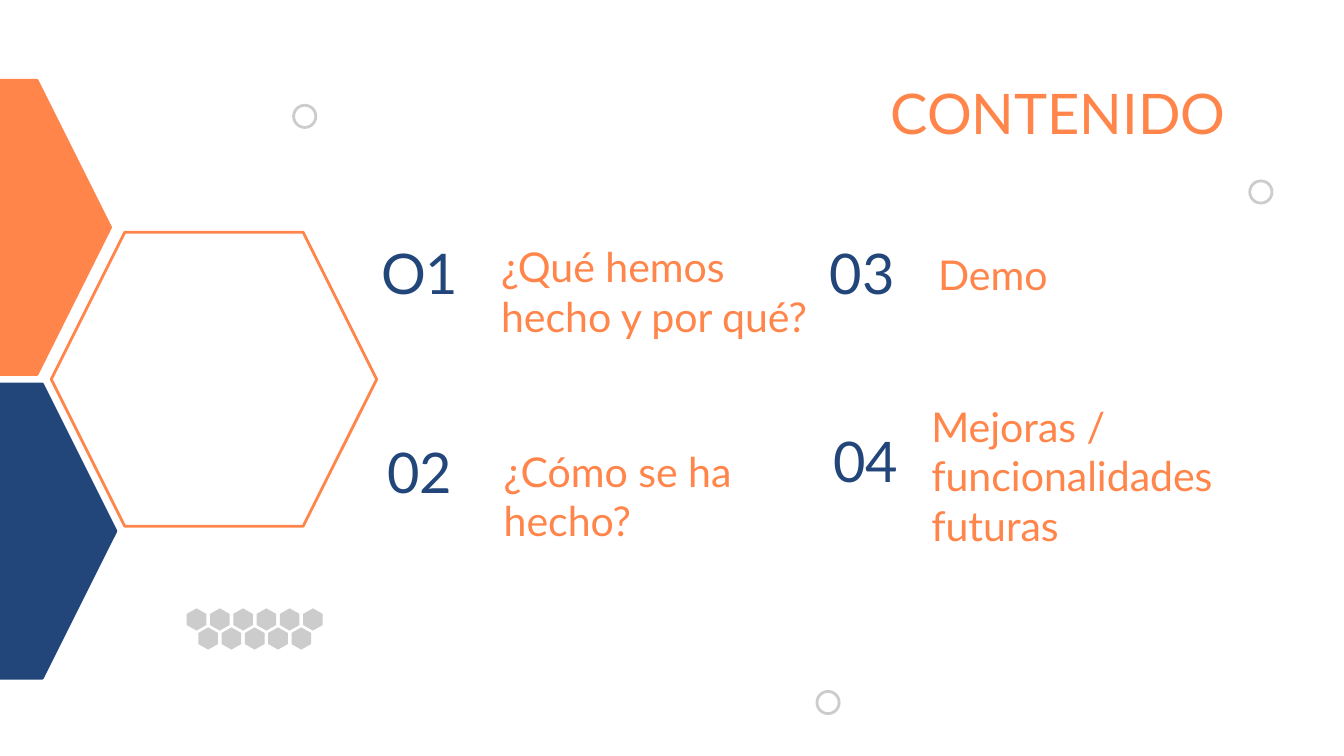
from lxml import etree
from pptx import Presentation
from pptx.dml.color import RGBColor
from pptx.enum.shapes import MSO_SHAPE
from pptx.enum.text import MSO_ANCHOR, MSO_AUTO_SIZE, PP_ALIGN
from pptx.oxml.ns import qn
from pptx.util import Cm, Pt

HEXAGON, OVAL = MSO_SHAPE.HEXAGON, MSO_SHAPE.OVAL
TOP, MIDDLE = MSO_ANCHOR.TOP, MSO_ANCHOR.MIDDLE
LEFT, CENTER, RIGHT = PP_ALIGN.LEFT, PP_ALIGN.CENTER, PP_ALIGN.RIGHT
NO_AUTOFIT = MSO_AUTO_SIZE.NONE

FONT = "Lato"
COLORS = {"orange": "FF854A", "navy": "22467A", "gray": "CCCCCC"}
COMPARISON_LAYOUT = 4

TOPICS = [
    ("¿Qué hemos hecho y por qué?", 9.22, 4.32, 6.96),
    ("Demo", 17.48, 4.47, 7.06),
    ("¿Cómo se ha hecho?", 9.27, 8.18, 6.96),
    ("Mejoras / funcionalidades futuras", 17.35, 7.34, 7.19),
]
NUMBERS = [("O1", 6.73, 4.57), ("02", 6.73, 8.33),
           ("03", 15.09, 4.57), ("04", 15.16, 8.13)]
HEXAGONS = [(-4.06, 1.52, "orange", True), (0.97, 4.39, "orange", False),
            (-3.96, 7.26, "navy", True)]
RINGS = [(15.44, 13.07), (5.55, 1.99), (23.62, 3.42)]
HONEYCOMB_ROWS = [(3.53, 11.5, 6), (3.75, 11.86, 5)]
CELL_WIDTH, CELL_HEIGHT, CELL_PITCH = 0.37, 0.42, 0.44


def color(name):
    return RGBColor.from_string(COLORS[name])


def place(shape, left, top, width, height):
    shape.left, shape.top = Cm(left), Cm(top)
    shape.width, shape.height = Cm(width), Cm(height)


def write(shape, text, size, color_name, align, anchor):
    frame = shape.text_frame
    frame.text = text
    frame.word_wrap = True
    frame.auto_size = NO_AUTOFIT
    frame.vertical_anchor = anchor
    frame.margin_left = frame.margin_right = Cm(0.25)
    frame.margin_top = frame.margin_bottom = Cm(0.25)
    paragraph = frame.paragraphs[0]
    paragraph.alignment = align
    paragraph.space_before = Pt(0)
    font = paragraph.runs[0].font
    font.name, font.size, font.bold = FONT, Pt(size), False
    font.color.rgb = color(color_name)
    return paragraph


def add_title(slide):
    title = slide.shapes.title
    place(title, 1.98, 1.24, 21.44, 1.6)
    write(title, "CONTENIDO", 30, "orange", RIGHT, TOP)


def add_topic(placeholder, text, left, top, width):
    place(placeholder, left, top, width, 1.27)
    paragraph = write(placeholder, text, 22, "orange", LEFT, TOP)
    paragraph.space_after = Pt(12)
    properties = paragraph._p.get_or_add_pPr()
    properties.set("marL", "0")
    properties.set("indent", "0")
    etree.SubElement(properties, qn("a:buNone"))


def add_number(slide, text, left, top):
    number = slide.shapes.add_textbox(Cm(left), Cm(top), Cm(2.41), Cm(1.14))
    write(number, text, 30, "navy", CENTER, MIDDLE)


def add_outlined(slide, preset, left, top, width, height, color_name, filled=False):
    shape = slide.shapes.add_shape(preset, Cm(left), Cm(top), Cm(width), Cm(height))
    shape.shadow.inherit = False
    if filled:
        shape.fill.solid()
        shape.fill.fore_color.rgb = color(color_name)
    else:
        shape.fill.background()
    shape.line.color.rgb = color(color_name)
    shape.line.width = Pt(1.5)


def add_cell(group, left, top):
    middle, right = left + CELL_WIDTH / 2, left + CELL_WIDTH
    upper, lower = top + CELL_HEIGHT / 4, top + CELL_HEIGHT * 3 / 4
    corners = [(middle, top), (left, upper), (left, lower),
               (middle, top + CELL_HEIGHT), (right, lower), (right, upper)]
    points = [(Cm(x), Cm(y)) for x, y in corners]
    builder = group.shapes.build_freeform(*points[0])
    builder.add_line_segments(points[1:], close=True)
    cell = builder.convert_to_shape()
    cell.shadow.inherit = False
    cell.fill.solid()
    cell.fill.fore_color.rgb = color("gray")
    cell.line.fill.background()


def add_honeycomb(slide):
    group = slide.shapes.add_group_shape()
    for left, top, count in HONEYCOMB_ROWS:
        for column in range(count):
            add_cell(group, left + column * CELL_PITCH, top)


def main():
    presentation = Presentation()
    presentation.slide_width, presentation.slide_height = Cm(25.4), Cm(14.29)
    slide = presentation.slides.add_slide(presentation.slide_layouts[COMPARISON_LAYOUT])

    add_title(slide)
    for index, topic in enumerate(TOPICS, start=1):
        add_topic(slide.placeholders[index], *topic)
    for number in NUMBERS:
        add_number(slide, *number)
    for left, top, color_name, filled in HEXAGONS:
        add_outlined(slide, HEXAGON, left, top, 6.15, 5.56, color_name, filled)
    add_honeycomb(slide)
    for left, top in RINGS:
        add_outlined(slide, OVAL, left, top, 0.42, 0.42, "gray")

    presentation.save("out.pptx")


if __name__ == "__main__":
    main()
